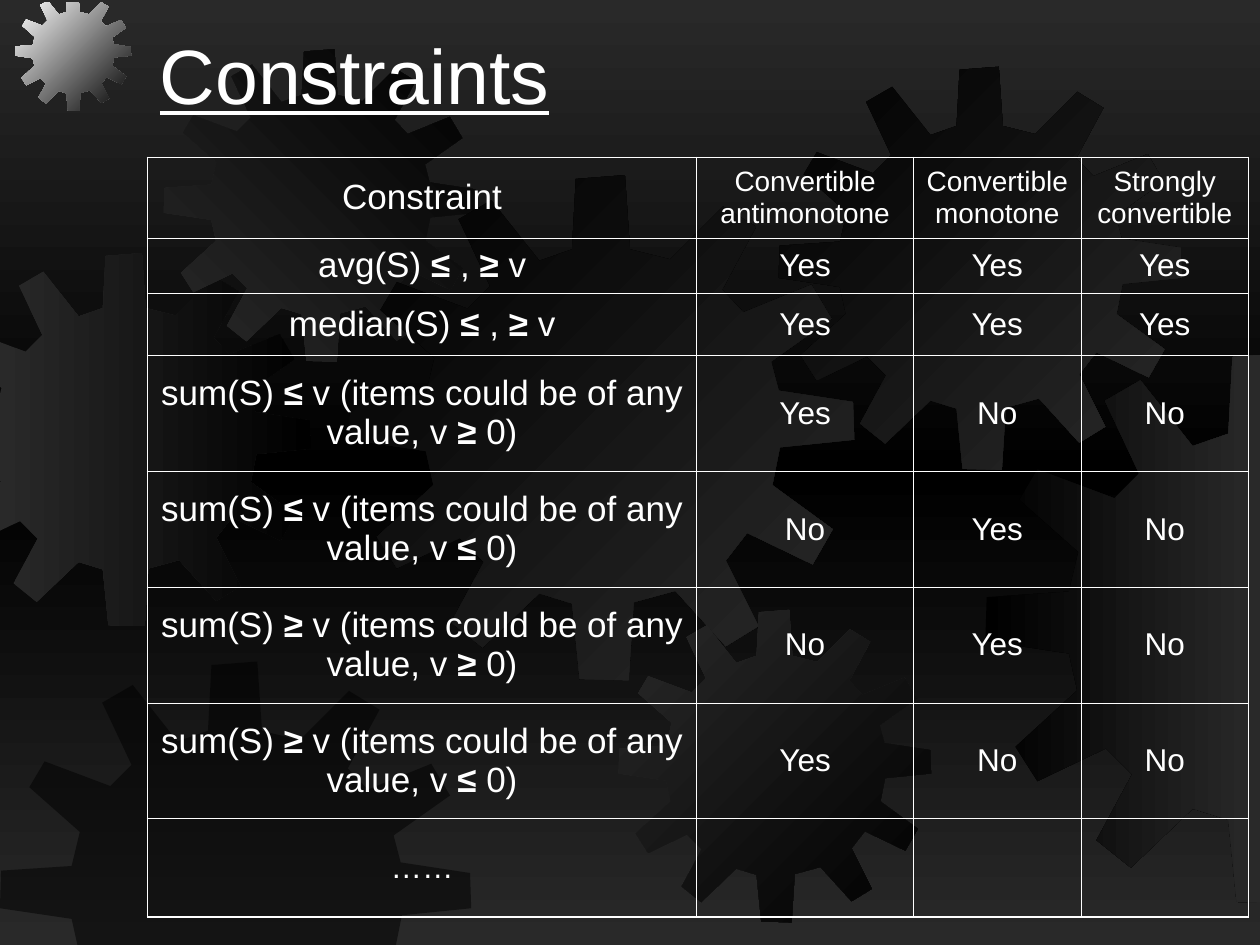
from copy import deepcopy
from dataclasses import dataclass
from itertools import groupby

from lxml import etree
from pptx import Presentation
from pptx.dml.color import RGBColor
from pptx.enum.text import MSO_ANCHOR, PP_ALIGN
from pptx.oxml.ns import qn
from pptx.util import Inches, Pt

CENTER, LEFT = PP_ALIGN.CENTER, PP_ALIGN.LEFT
MIDDLE, BOTTOM = MSO_ANCHOR.MIDDLE, MSO_ANCHOR.BOTTOM


@dataclass(frozen=True)
class Theme:
    """Colours, type sizes and line widths of the slide."""
    font: str = "Arial"
    white: str = "FFFFFF"
    black: str = "000000"
    grey: str = "292929"
    title: int = 44
    label: int = 20
    value: int = 18
    head: int = 16
    outer: float = 1.08
    inner: float = 0.45


T = Theme()
COLS, ROWS = 100, 75
CLIP = (0, 0.2, COLS, ROWS)
GEAR_SPAN = 401
GEAR = [
    (255, 67), (223, 59), (219, 0), (180, 3), (177, 59), (151, 68), (113, 20),
    (87, 35), (112, 88), (94, 106), (38, 85), (25, 107), (68, 145), (61, 174),
    (1, 178), (0, 210), (61, 219), (67, 246), (22, 287), (38, 312), (88, 288),
    (107, 307), (81, 355), (106, 375), (151, 332), (177, 340), (183, 400),
    (222, 401), (226, 339), (259, 330), (299, 374), (325, 358), (299, 306),
    (316, 284), (368, 309), (384, 281), (336, 246), (342, 216), (401, 210),
    (400, 180), (341, 171), (335, 148), (383, 114), (367, 87), (313, 109),
    (296, 91), (323, 41), (297, 25),
]
GEARS = [
    (-4.9, 20.1, 29.6, (T.grey, T.black), 0),
    (1.2, -0.4, 9.2, (T.white, T.black), 45),
    (13, 3.9, 24.8, (T.grey, T.black), 315),
    (27.7, 13.9, 40.1, (T.black, T.grey), 45),
    (0, 52.5, 37.4, (T.black,), 0),
    (49.1, 48.4, 24.8, (T.grey, T.black), 45),
    (61.8, 5.3, 32, (T.black, T.grey), 45),
    (78.2, 28, 43.7, (T.black, T.grey), 0),
]
COL_WIDTHS = (43.6, 17.2, 13.3, 13.3)
ROW_HEIGHTS = (6.4, 4.4, 4.9, 9.2, 9.2, 9.2, 9.2, 7.8)
CELLS = [
    ("Constraint", "Convertible antimonotone", "Convertible monotone", "Strongly convertible"),
    ("avg(S) ≤ , ≥ v", "Yes", "Yes", "Yes"),
    ("median(S) ≤ , ≥ v", "Yes", "Yes", "Yes"),
    ("sum(S) ≤ v (items could be of any value, v ≥ 0)", "Yes", "No", "No"),
    ("sum(S) ≤ v (items could be of any value, v ≤ 0)", "No", "Yes", "No"),
    ("sum(S) ≥ v (items could be of any value, v ≥ 0)", "No", "Yes", "No"),
    ("sum(S) ≥ v (items could be of any value, v ≤ 0)", "Yes", "No", "No"),
    ("……", "", "", ""),
]


def grid(n):
    """Turn grid units, ten to the inch, into a length."""
    return Inches(n / 10)


def write(tf, text, size, align=LEFT, underline=None, before=0):
    """Write one paragraph, with comparison signs in bold."""
    p = tf.paragraphs[0]
    p.alignment, p.space_before = align, Pt(before)
    for is_sign, chars in groupby(text, key=lambda c: c in "≤≥"):
        r = p.add_run()
        r.text = "".join(chars)
        f = r.font
        f.name, f.size, f.bold, f.underline = T.font, Pt(size), is_sign, underline
        f.color.rgb = RGBColor.from_string(T.white)


def paint_gradient(fill, colors, angle):
    """Colour the stops of a gradient that runs clockwise from the left."""
    fill.gradient_angle = (360 - angle) % 360
    for stop, color in zip(fill.gradient_stops, colors):
        stop.color.rgb = RGBColor.from_string(color)


def paint_background(slide):
    """Shade the slide from grey through black to grey."""
    fill = slide.background.fill
    fill.gradient()
    stops = next(slide.element.iter(qn("a:gsLst")))
    middle = deepcopy(stops[0])
    middle.set("pos", "50000")
    stops.insert(1, middle)
    paint_gradient(fill, (T.grey, T.black, T.grey), 90)


def clip_side(points, axis, limit, sign):
    """Cut a polygon at one limit of one axis."""
    kept = []
    for a, b in zip(points[-1:] + points[:-1], points):
        da, db = sign * (a[axis] - limit), sign * (b[axis] - limit)
        if da * db < 0:
            t = da / (da - db)
            kept.append(tuple(m + t * (n - m) for m, n in zip(a, b)))
        if db >= 0:
            kept.append(b)
    return kept


def add_gear(slide, left, top, span, colors, angle):
    """Draw a gear in a square box, cut at the slide's edges."""
    k = span / GEAR_SPAN
    points = [(left + x * k, top + y * k) for x, y in GEAR]
    for i, limit in enumerate(CLIP):
        points = clip_side(points, i % 2, limit, 1 if i < 2 else -1)
    points = [(grid(x), grid(y)) for x, y in points]
    builder = slide.shapes.build_freeform(*points[0], scale=1.0)
    builder.add_line_segments(points[1:], close=True)
    sp = builder.convert_to_shape()
    sp.shadow.inherit = False
    sp.line.fill.background()
    if len(colors) > 1:
        sp.fill.gradient()
        paint_gradient(sp.fill, colors, angle)
    else:
        sp.fill.solid()
        sp.fill.fore_color.rgb = RGBColor.from_string(colors[0])
        color = next(sp.element.spPr.iter(qn("a:srgbClr")))
        etree.SubElement(color, qn("a:alpha")).set("val", "50000")


def add_title(slide, left, top, width, height):
    """Place the underlined title at the foot of its box."""
    tf = slide.shapes.add_textbox(*map(grid, (left, top, width, height))).text_frame
    tf.word_wrap, tf.vertical_anchor = True, BOTTOM
    write(tf, "Constraints", T.title, underline=True)


def set_borders(cell, widths):
    """Rule the left, right, top and bottom of a cell."""
    tcPr = cell._tc.get_or_add_tcPr()
    for i, (side, width) in enumerate(zip("LRTB", widths)):
        ln = etree.Element(qn(f"a:ln{side}"), w=str(Pt(width)))
        fill = etree.SubElement(ln, qn("a:solidFill"))
        etree.SubElement(fill, qn("a:srgbClr"), val=T.white)
        tcPr.insert(i, ln)


def add_constraint_table(slide, left, top):
    """Place the table of constraints and their convertibility."""
    n_rows, n_cols = len(CELLS), len(COL_WIDTHS)
    box = map(grid, (left, top, sum(COL_WIDTHS), sum(ROW_HEIGHTS)))
    table = slide.shapes.add_table(n_rows, n_cols, *box).table
    table.first_row = table.horz_banding = False
    for col, width in zip(table.columns, COL_WIDTHS):
        col.width = grid(width)
    for row, height in zip(table.rows, ROW_HEIGHTS):
        row.height = grid(height)
    for i, texts in enumerate(CELLS):
        for j, text in enumerate(texts):
            cell = table.cell(i, j)
            cell.fill.background()
            cell.vertical_anchor = MIDDLE
            if j == 0 and i < n_rows - 1:
                size = T.label
            else:
                size = T.value if i else T.head
            write(cell.text_frame, text, size, align=CENTER, before=size / 4)
            edges = (j == 0, j == n_cols - 1, i == 0, i == n_rows - 1)
            set_borders(cell, [T.outer if e else T.inner for e in edges])


def main():
    """Build the slide and save it."""
    prs = Presentation()
    prs.slide_width, prs.slide_height = grid(COLS), grid(ROWS)
    s = prs.slides.add_slide(prs.slide_layouts[6])
    paint_background(s)
    for gear in GEARS:
        add_gear(s, *gear)
    add_title(s, 11.7, -2.5, 85, 12.5)
    add_constraint_table(s, 11.7, 12.5)
    prs.save("out.pptx")


if __name__ == "__main__":
    main()
